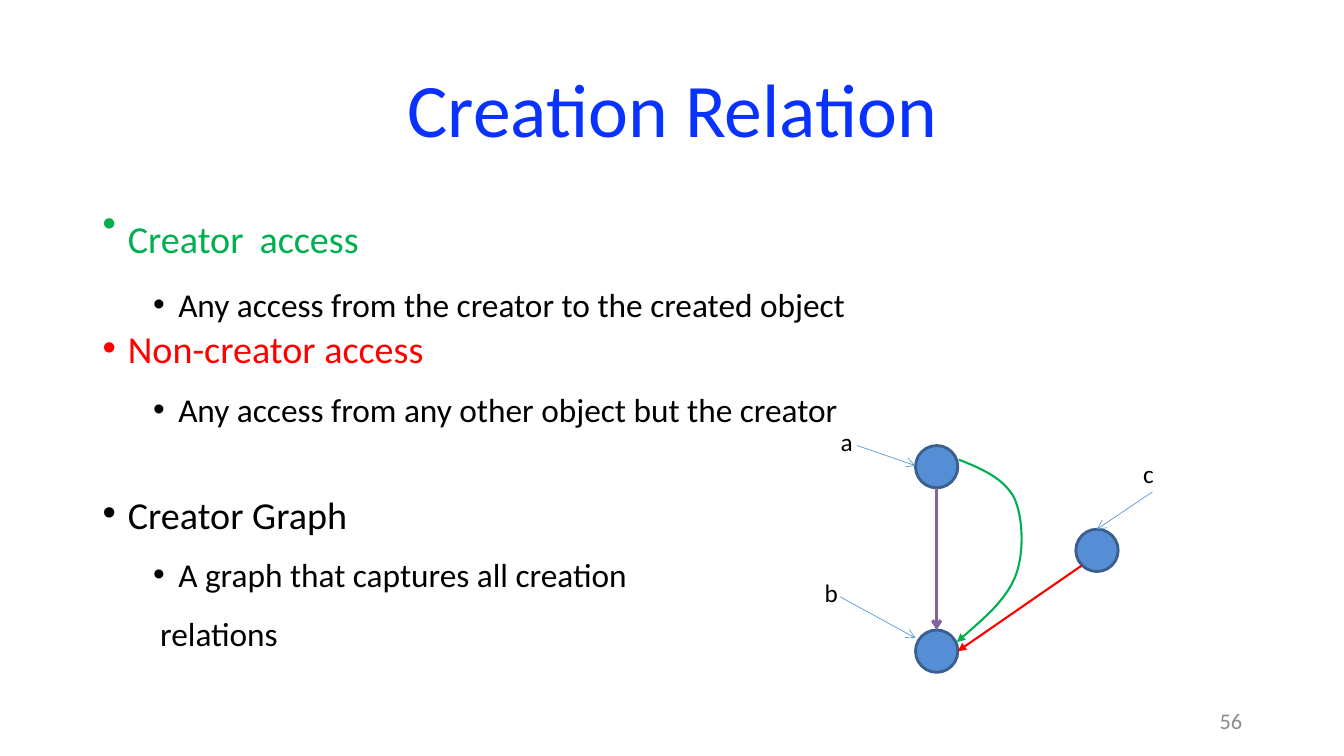
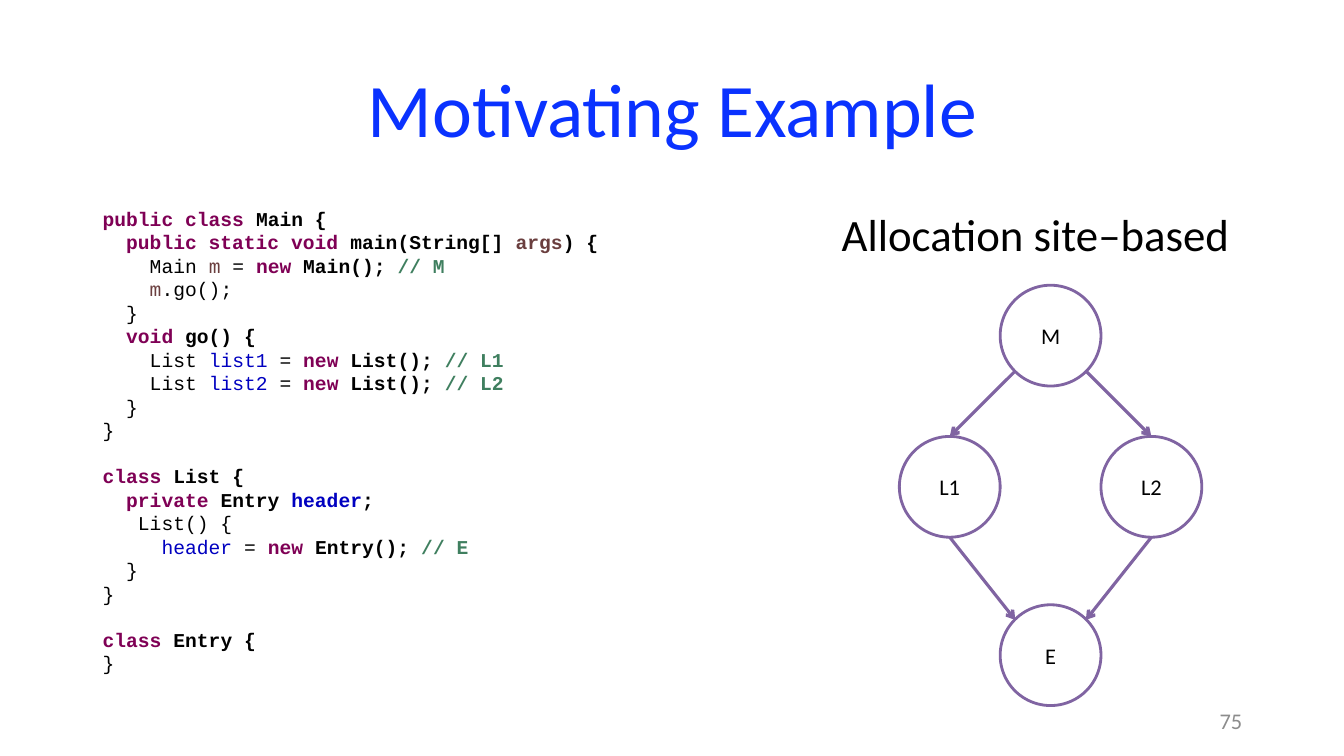
from lxml.etree import SubElement
from pptx import Presentation
from pptx.dml.color import RGBColor
from pptx.enum.shapes import MSO_CONNECTOR, MSO_SHAPE
from pptx.enum.text import MSO_ANCHOR, PP_ALIGN
from pptx.oxml.ns import qn
from pptx.util import Inches, Pt

SANS, MONO = "Calibri", "Courier New"
BLACK, WHITE, GREEN, RED = "000000", "FFFFFF", "00B050", "FF0000"
TITLE_BLUE, FOOTER_GREY, PURPLE = "0A32FF", "8C8C8C", "8064A2"
NODE_BLUE, NODE_EDGE, POINTER_BLUE = "558ED5", "3A5F8C", "5B9BD5"
MARGIN, CONTENT_TOP = 0.92, 2
HEADING_SIZE, DETAIL_SIZE, WIDE_SPACE_SIZE = 27.2, 23.8, 50.1
CODE_SIZE, CODE_LINE = 14, 15.9

CODE_STYLES = {
    "K": ("7F0055", True), "B": (BLACK, True), "N": (BLACK, False),
    "V": ("6A3E3E", False), "A": ("6A3E3E", True), "F": ("0000C0", False),
    "H": ("0000C0", True), "C": ("3F7F5F", True),
}
CODE_BLOCKS = [
    ["Kpublic class|B Main {",
     "K  public static void|B main(String[] |Aargs|B) {",
     "N    Main |Vm|N = |Knew|B Main(); |C// M",
     "V    m|N.go();",
     "N  }",
     "K  void|B go() {",
     "N    List |Flist1|N = |Knew|B List(); |C// L1",
     "N    List |Flist2|N = |Knew|B List(); |C// L2",
     "N  }",
     "N}"],
    ["Kclass|B List {",
     "K  private|B Entry |Hheader|B;",
     "N   List() {",
     "F     header|N = |Knew|B Entry(); |C// E",
     "N  }",
     "N}"],
    ["Kclass|B Entry {",
     "N}"],
]


def rgb(value):
    """Turn a hex string into a colour."""
    return RGBColor.from_string(value)


def style(font, size=None, color=None, name=None, bold=None):
    """Set the given properties of a font."""
    if size:
        font.size = Pt(size)
    if color:
        font.color.rgb = rgb(color)
    if name:
        font.name = name
    if bold is not None:
        font.bold = bold


def add_frame(slide, left, top, width, height, anchor=MSO_ANCHOR.TOP):
    """Add a wrapping text box and return its text frame."""
    box = slide.shapes.add_textbox(*map(Inches, (left, top, width, height)))
    frame = box.text_frame
    frame.word_wrap = True
    frame.vertical_anchor = anchor
    return frame


def add_label(slide, text, box, size, color=BLACK, align=PP_ALIGN.LEFT,
              anchor=MSO_ANCHOR.TOP):
    """Add a line of text and return its paragraph."""
    paragraph = add_frame(slide, *box, anchor).paragraphs[0]
    paragraph.text = text
    paragraph.alignment = align
    style(paragraph.font, size, color, SANS)
    return paragraph


def start_slide(deck, title, number):
    """Add a blank slide with its title and page number."""
    slide = deck.slides.add_slide(deck.slide_layouts[6])
    heading = add_label(slide, title, (MARGIN, 0.4, 11.5, 1.45), 54,
                        TITLE_BLUE, PP_ALIGN.CENTER, MSO_ANCHOR.MIDDLE)
    heading.line_spacing = 0.9
    add_label(slide, number, (9.42, 6.95, 3, 0.4), 16, FOOTER_GREY,
              PP_ALIGN.RIGHT, MSO_ANCHOR.MIDDLE)
    return slide


def style_line(shape, color, width, head):
    """Colour a line and put an arrowhead at its end."""
    shape.line.color.rgb = rgb(color)
    shape.line.width = Pt(width)
    outline = shape.element.spPr.get_or_add_ln()
    SubElement(outline, qn("a:tailEnd")).set("type", head)


def add_arrow(slide, start, end, color, width, head="arrow", target=None):
    """Draw a straight arrow, joined to the top of its target if given."""
    arrow = slide.shapes.add_connector(
        MSO_CONNECTOR.STRAIGHT, *map(Inches, (*start, *end)))
    if target is not None:
        arrow.end_connect(target, 0)
    style_line(arrow, color, width, head)
    SubElement(arrow.element.spPr, qn("a:effectLst"))


def add_curve(slide, start, controls, color, width):
    """Draw a curved arrow through groups of three Bézier points."""
    points = [tuple(map(Inches, point)) for point in (start, *controls)]
    builder = slide.shapes.build_freeform(*points[0], scale=1.0)
    builder.add_line_segments(points[1:], close=False)
    curve = builder.convert_to_shape()
    curve.shadow.inherit = False
    curve.fill.background()
    style_line(curve, color, width, "triangle")
    segments = curve.element.xpath(".//a:lnTo")
    outline = segments[0].getparent()
    for first in range(0, len(segments), 3):
        bezier = SubElement(outline, qn("a:cubicBezTo"))
        for segment in segments[first:first + 3]:
            bezier.append(segment[0])
            outline.remove(segment)


def add_node(slide, left, top, diameter, fill, edge, text=""):
    """Draw a round graph node."""
    node = slide.shapes.add_shape(
        MSO_SHAPE.OVAL, *map(Inches, (left, top, diameter, diameter)))
    node.shadow.inherit = False
    node.fill.solid()
    node.fill.fore_color.rgb = rgb(fill)
    node.line.color.rgb = rgb(edge)
    node.line.width = Pt(2)
    if text:
        node.text_frame.vertical_anchor = MSO_ANCHOR.MIDDLE
        name = node.text_frame.paragraphs[0]
        name.text = text
        name.alignment = PP_ALIGN.CENTER
        style(name.font, 16, BLACK, SANS)
    return node


def set_indent(paragraph, margin, hanging, bullet=True):
    """Indent a paragraph and give it a bullet if wanted."""
    properties = paragraph._p.get_or_add_pPr()
    properties.set("marL", str(Inches(margin)))
    properties.set("indent", str(-Inches(hanging)))
    if bullet:
        SubElement(properties, qn("a:buFont")).set("typeface", "Arial")
        SubElement(properties, qn("a:buChar")).set("char", "•")
    else:
        SubElement(properties, qn("a:buNone"))


def add_definitions(slide, left, top, width, height):
    """Write the headings and details about creation relations."""
    heading, detail = (0, 0.25, 0.25), (1, 0.75, 0.25)
    rows = [
        (heading, ["Creator", " ", "access"], GREEN, 0),
        (detail, ["Any access from the creator to the created object"], BLACK, 5),
        (heading, ["Non-creator access"], RED, 10),
        (detail, ["Any access from any other object but the creator"], BLACK, 5),
        (heading, ["Creator Graph"], BLACK, 53),
        (detail, ["A graph that captures all creation"], BLACK, 5),
        ((1, 0.57, 0), ["relations"], BLACK, 5),
    ]
    frame = add_frame(slide, left, top, width, height)
    for index, ((level, margin, hanging), parts, color, before) in enumerate(rows):
        paragraph = frame.add_paragraph() if index else frame.paragraphs[0]
        paragraph.level = level
        paragraph.line_spacing = 1.3 if level else 0.7
        paragraph.space_before = Pt(before)
        set_indent(paragraph, margin, hanging, hanging > 0)
        size = DETAIL_SIZE if level else HEADING_SIZE
        style(paragraph.font, size if len(parts) == 1 else None, color, SANS)
        for part in parts:
            run = paragraph.add_run()
            run.text = part
            if len(parts) > 1:
                style(run.font, size if part.strip() else WIDE_SPACE_SIZE)


def add_creator_graph(slide, left, top):
    """Draw objects a, b and c with the accesses between them."""
    def at(x, y):
        return left + x, top + y

    size = 0.42
    a, b, c = [add_node(slide, *at(x, y), size, NODE_BLUE, NODE_EDGE)
               for x, y in ((1.08, 0.42), (1.08, 2.25), (2.67, 1.25))]
    add_arrow(slide, at(1.29, 0.84), at(1.29, 2.25), PURPLE, 2.25, target=b)
    pointers = [
        ("a", (0.24, 0.18), (0.5, 0.42), (1.08, 0.62), None),
        ("b", (0.08, 1.68), (0.33, 1.92), (1.08, 2.33), None),
        ("c", (3.24, 0.5), (3.43, 0.88), (2.88, 1.25), c),
    ]
    for name, corner, start, end, target in pointers:
        add_label(slide, name, (*at(*corner), 0.34, 0.4), 18)
        add_arrow(slide, at(*start), at(*end), POINTER_BLUE, 0.5, target=target)
    controls = [(1.74, 0.65), (1.96, 0.75), (2.06, 0.94),
                (2.15, 1.14), (2.16, 1.49), (2.07, 1.72),
                (1.97, 1.96), (1.73, 2.16), (1.49, 2.37)]
    add_curve(slide, at(1.51, 0.56), [at(*point) for point in controls], GREEN, 1.5)
    add_arrow(slide, at(2.73, 1.61), at(1.5, 2.46), RED, 1.5, "triangle")


def add_code(slide, left, top, width, height):
    """Write the highlighted code listing."""
    panel = slide.shapes.add_shape(
        MSO_SHAPE.RECTANGLE, *map(Inches, (left, top, width, height)))
    panel.shadow.inherit = False
    panel.fill.solid()
    panel.fill.fore_color.rgb = rgb(WHITE)
    panel.line.fill.background()
    frame = panel.text_frame
    frame.word_wrap = True
    frame.vertical_anchor = MSO_ANCHOR.TOP
    for block_index, block in enumerate(CODE_BLOCKS):
        for line_index, line in enumerate(block):
            first = block_index == line_index == 0
            paragraph = frame.paragraphs[0] if first else frame.add_paragraph()
            paragraph.alignment = PP_ALIGN.LEFT
            if block_index and not line_index:
                paragraph.space_before = Pt(CODE_LINE)
            style(paragraph.font, CODE_SIZE, name=MONO)
            for token in line.split("|"):
                run = paragraph.add_run()
                run.text = token[1:]
                color, bold = CODE_STYLES[token[0]]
                style(run.font, color=color, bold=bold)


def add_allocation_graph(slide, left, top):
    """Draw the diamond of allocation sites."""
    corners = {"M": (1, 0), "L1": (0, 1.5), "L2": (2, 1.5), "E": (1, 3.17)}
    nodes = {name: add_node(slide, left + x, top + y, 1, WHITE, PURPLE, name)
             for name, (x, y) in corners.items()}

    def rim(name, dx, dy):
        x, y = corners[name]
        return left + x + 0.5 + dx, top + y + 0.5 + dy

    for site, side in (("L1", -0.35), ("L2", 0.35)):
        add_arrow(slide, rim("M", side, 0.35), rim(site, 0, -0.5), PURPLE, 2.25,
                  target=nodes[site])
        add_arrow(slide, rim(site, 0, 0.5), rim("E", side, -0.35), PURPLE, 2.25)


def main():
    """Build the deck and save it."""
    deck = Presentation()
    deck.slide_width, deck.slide_height = Inches(13.33), Inches(7.5)

    relation = start_slide(deck, "Creation Relation", "56")
    add_definitions(relation, MARGIN, CONTENT_TOP, 11.5, 4.76)
    add_creator_graph(relation, 8, 4)

    example = start_slide(deck, "Motivating Example", "75")
    add_code(example, MARGIN, CONTENT_TOP, 6.17, 4.81)
    add_label(example, "Allocation site–based", (8.25, CONTENT_TOP, 4.2, 0.64), 32)
    add_allocation_graph(example, 8.92, 2.83)

    deck.save("out.pptx")


if __name__ == "__main__":
    main()
